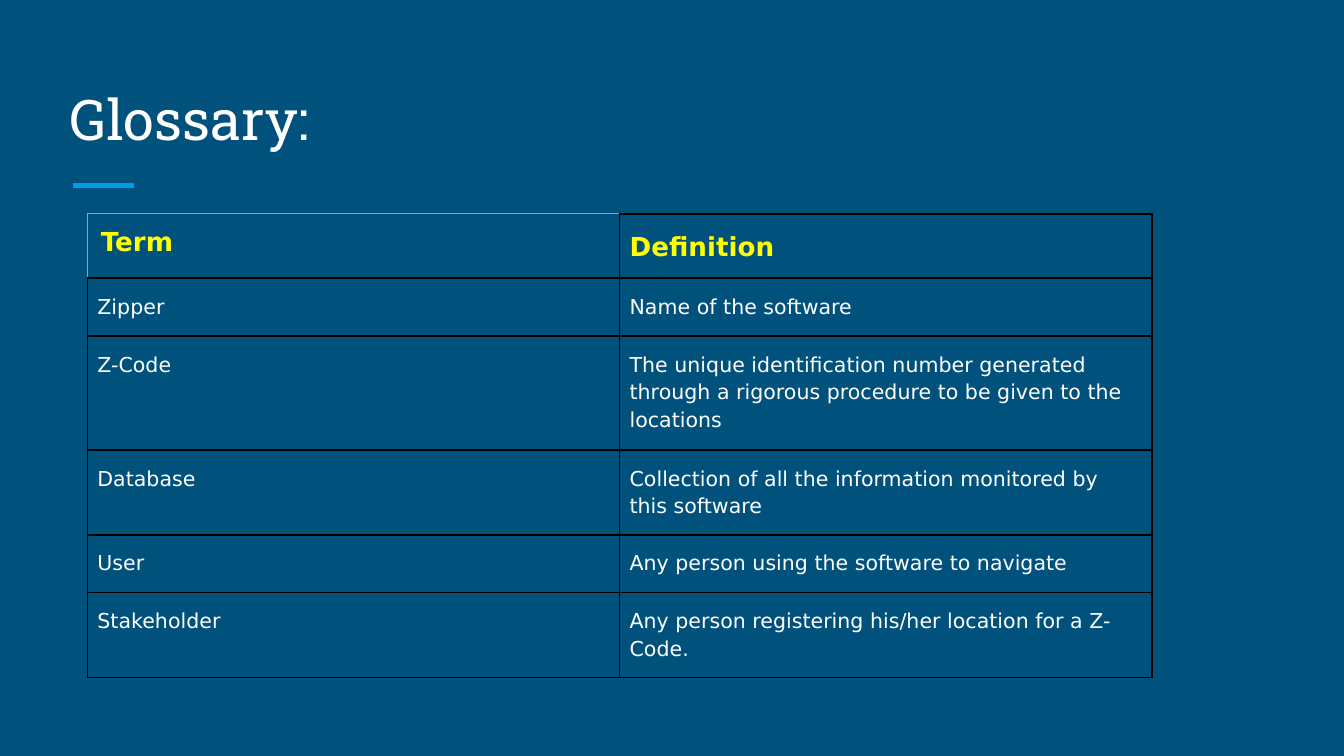
from lxml import etree
from pptx import Presentation
from pptx import util as u
from pptx.dml.color import RGBColor
from pptx.enum import shapes, text
from pptx.oxml import ns

NAVY = RGBColor(0x00, 0x51, 0x7C)
BLUE = RGBColor(0x03, 0x9B, 0xE5)
WHITE = RGBColor(0xFF, 0xFF, 0xFF)
YELLOW = RGBColor(0xFF, 0xFF, 0x00)
BLACK = RGBColor(0x00, 0x00, 0x00)
GRAY = RGBColor(0x9E, 0x9E, 0x9E)

GLOSSARY = [
    ("Term", "Definition"),
    ("Zipper", "Name of the software"),
    ("Z-Code", "The unique identification number generated through a rigorous "
               "procedure to be given to the locations"),
    ("Database", "Collection of all the information monitored by this software"),
    ("User", "Any person using the software to navigate"),
    ("Stakeholder", "Any person registering his/her location for a Z-Code."),
]
ROW_HEIGHTS = [0.48, 0.43, 0.85, 0.63, 0.43, 0.63]
COLUMN_WIDTH = 3.96


def set_border(cell, position, side, color, width):
    """Insert one cell border; borders must come before the cell's fill."""
    properties = cell._tc.get_or_add_tcPr()
    line = etree.Element(ns.qn(f"a:ln{side}"), w=str(u.Pt(width)))
    fill = etree.SubElement(line, ns.qn("a:solidFill"))
    etree.SubElement(fill, ns.qn("a:srgbClr"), val=str(color))
    properties.insert(position, line)


# Widescreen slide and background
presentation = Presentation()
presentation.slide_width = u.Inches(10)
presentation.slide_height = presentation.slide_width * 9 // 16
slide = presentation.slides.add_slide(presentation.slide_layouts[5])
slide.background.fill.solid()
slide.background.fill.fore_color.rgb = NAVY

# Title
title = slide.shapes.title
title.left, title.top = u.Inches(0.42), u.Inches(0.5)
title.width, title.height = u.Inches(9.15), u.Inches(0.73)
frame = title.text_frame
frame.text = "Glossary:"
frame.auto_size = text.MSO_AUTO_SIZE.NONE
frame.vertical_anchor = text.MSO_ANCHOR.BOTTOM
frame.margin_left = frame.margin_right = u.Inches(0.1)
frame.margin_top = frame.margin_bottom = u.Inches(0.1)
paragraph = frame.paragraphs[0]
paragraph.alignment = text.PP_ALIGN.LEFT
paragraph.font.name = "Roboto Slab"
paragraph.font.size = u.Pt(30)
paragraph.font.color.rgb = WHITE

# Accent line under the title
accent = slide.shapes.add_connector(
    shapes.MSO_CONNECTOR.STRAIGHT,
    u.Inches(0.54), u.Inches(1.38), u.Inches(1), u.Inches(1.38))
accent.line.color.rgb = BLUE
accent.line.width = u.Pt(3)
etree.SubElement(accent._element.spPr, ns.qn("a:effectLst"))

# Glossary table
table = slide.shapes.add_table(
    len(GLOSSARY), 2, u.Inches(0.65), u.Inches(1.59),
    u.Inches(2 * COLUMN_WIDTH), u.Inches(sum(ROW_HEIGHTS))).table
table.first_row = table.horz_banding = False
for column in table.columns:
    column.width = u.Inches(COLUMN_WIDTH)

for row_index, (entry, height) in enumerate(zip(GLOSSARY, ROW_HEIGHTS)):
    table.rows[row_index].height = u.Inches(height)
    header = row_index == 0
    for column_index, words in enumerate(entry):
        corner = header and column_index == 0
        cell = table.cell(row_index, column_index)
        cell.text = words
        cell.fill.background()
        cell.margin_left = cell.margin_right = u.Pt(7.2 if corner else 5.4)
        cell.margin_top = cell.margin_bottom = u.Inches(0.1)

        paragraph = cell.text_frame.paragraphs[0]
        paragraph.line_spacing = 1 if corner else 1.15
        paragraph.font.name = "DejaVu Sans"
        paragraph.font.size = u.Pt(14 if header else 11)
        paragraph.font.bold = header
        paragraph.font.color.rgb = YELLOW if header else WHITE

        # The first header cell has a thin gray outer edge
        for position, side in enumerate("LRTB"):
            if corner and side in "LT":
                set_border(cell, position, side, GRAY, 0.75)
            else:
                set_border(cell, position, side, BLACK, 1)

presentation.save("out.pptx")
